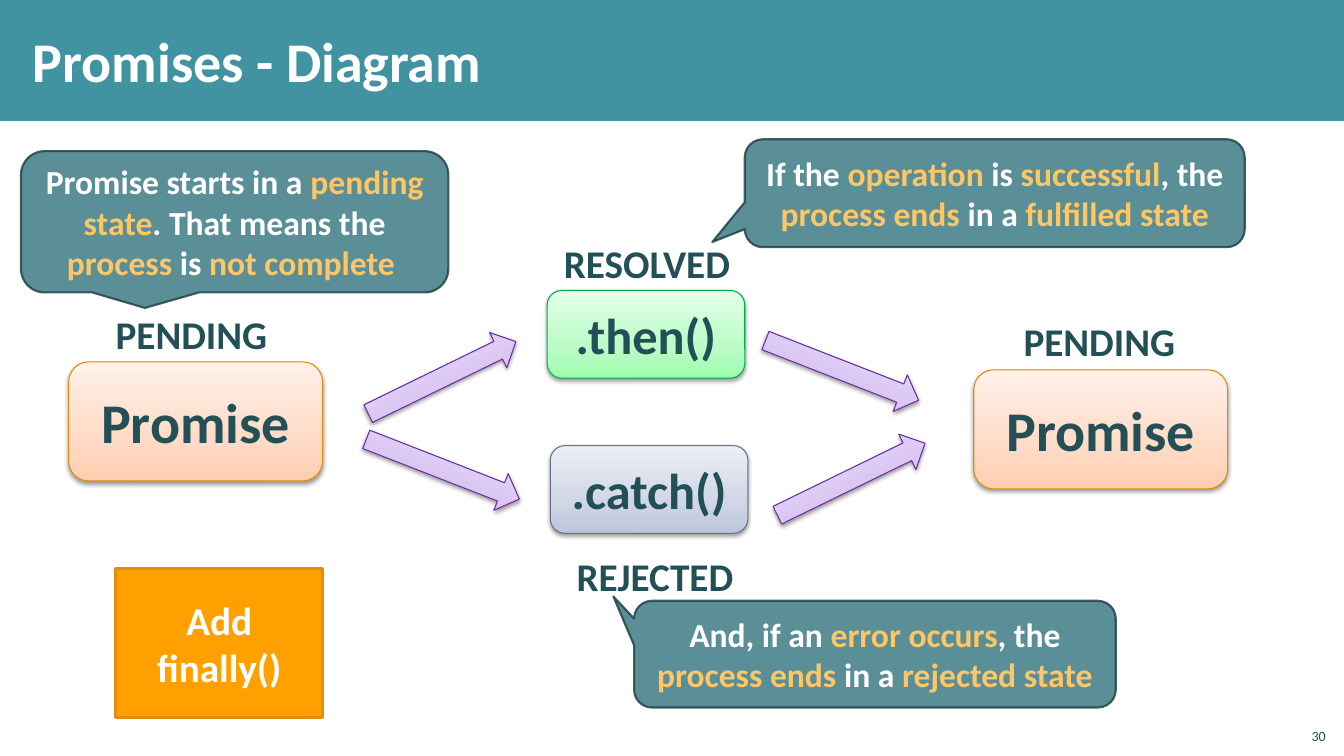
"""Draw the promise states slide."""
from dataclasses import dataclass

from lxml import etree
from pptx import Presentation
from pptx.dml.color import RGBColor
from pptx.enum.shapes import MSO_SHAPE
from pptx.enum.text import MSO_ANCHOR, PP_ALIGN
from pptx.oxml import parse_xml
from pptx.oxml.ns import qn
from pptx.util import Cm, Pt

RECT, ROUND = MSO_SHAPE.RECTANGLE, MSO_SHAPE.ROUNDED_RECTANGLE
ARROW, BUBBLE = MSO_SHAPE.RIGHT_ARROW, MSO_SHAPE.ROUNDED_RECTANGULAR_CALLOUT
LEFT, RIGHT, CENTER = PP_ALIGN.LEFT, PP_ALIGN.RIGHT, PP_ALIGN.CENTER
TOP, MIDDLE, BOTTOM = MSO_ANCHOR.TOP, MSO_ANCHOR.MIDDLE, MSO_ANCHOR.BOTTOM
DRAW_NS = "http://schemas.openxmlformats.org/drawingml/2006/main"


@dataclass(frozen=True)
class Tint:
    """Hold three gradient stops and a line colour."""
    stops: tuple[str, str, str]
    line: str


@dataclass(frozen=True)
class Theme:
    """Hold the colours and type sizes."""
    font: str = "Calibri"
    white: str = "FFFFFF"
    ink: str = "235057"
    bar: str = "4193A1"
    glow: str = "FFC666"
    bubble: str = "32737E"
    edge: str = "1A3C41"
    note: str = "FFA000"
    rim: str = "E28D10"
    orange: Tint = Tint(("FFCDAF", "FFDBC6", "FFF1EA"), "E28B0B")
    green: Tint = Tint(("9DFCAE", "BBFBC6", "E4FFE9"), "00AC4E")
    blue: Tint = Tint(("BCC5DB", "D0D6E5", "EDEFF5"), "64718C")
    purple: Tint = Tint(("C5A6EE", "D6C2F2", "EFE7FB"), "6E2C9F")
    huge: int = 40
    large: int = 36
    label: int = 28
    body: int = 24
    tiny: int = 10


THEME = Theme()


@dataclass(frozen=True)
class Box:
    """Place a rectangle in centimetres."""
    left: float
    top: float
    width: float
    height: float

    def emu(self) -> list:
        """Return the four lengths."""
        return [Cm(n) for n in (self.left, self.top, self.width, self.height)]


@dataclass(frozen=True)
class State:
    """Describe a rounded state box."""
    box: Box
    text: str
    size: int
    tint: Tint


@dataclass(frozen=True)
class Callout:
    """Describe a speech bubble and its tip."""
    box: Box
    text: str
    tip: tuple[float, float]


STATES = [
    State(Box(1.73, 9.12, 6.4, 3), "Promise", THEME.huge, THEME.orange),
    State(Box(24.54, 9.32, 6.4, 3), "Promise", THEME.huge, THEME.orange),
    State(Box(13.79, 7.32, 4.98, 2.21), ".then()", THEME.large, THEME.green),
    State(Box(13.87, 11.23, 4.98, 2.21), ".catch()", THEME.large, THEME.blue),
]
UP, DOWN = 334, 21.3
ARROWS = [(9.07, 9.02, UP), (9.09, 11.33, DOWN),
          (19.38, 11.58, UP), (19.15, 8.84, DOWN)]
LABELS = [("PENDING", Box(2.49, 7.39, 4.67, 1.85)),
          ("REJECTED", Box(13.89, 13.49, 5.23, 1.85)),
          ("RESOLVED", Box(13.69, 5.61, 5.23, 1.85)),
          ("PENDING", Box(25.37, 7.57, 4.67, 1.85))]
CALLOUTS = [
    Callout(Box(0.53, 3.81, 10.77, 3.56), "Promise starts in a *pending state*. "
            "That means the *process* is *not complete *", (-0.21, 0.61)),
    Callout(Box(18.77, 3.51, 12.6, 2.72), "If the *operation* is *successful*, "
            "the *process ends* in a *fulfilled state*", (-0.565, 0.452)),
    Callout(Box(15.98, 15.14, 12.14, 2.69), "And, if an *error occurs*, the "
            "*process ends* in a *rejected state*", (-0.543, -0.541)),
]


def write(shape, text: str, *, size: int, color: str = THEME.ink,
          bold: bool = True, align=CENTER, anchor=MIDDLE,
          inset: tuple[float, float] = (0.25, 0.13), wrap: bool = True,
          space: float = 1.0) -> None:
    """Write text into a shape, with starred parts in the glow colour."""
    frame = shape.text_frame
    frame.word_wrap = wrap
    frame.vertical_anchor = anchor
    frame.margin_left = frame.margin_right = Cm(inset[0])
    frame.margin_top = frame.margin_bottom = Cm(inset[1])
    para = frame.paragraphs[0]
    para.alignment = align
    para.line_spacing = space
    for i, part in enumerate(text.split("*")):
        if part:
            run = para.add_run()
            run.text = part
            run.font.name = THEME.font
            run.font.size = Pt(size)
            run.font.bold = bold
            run.font.color.rgb = RGBColor.from_string(THEME.glow if i % 2 else color)


def outline(shape, color: str, width: float) -> None:
    """Set the line of a shape."""
    shape.line.color.rgb = RGBColor.from_string(color)
    shape.line.width = Pt(width)


def flat(slide, kind, box: Box, fill: str):
    """Add a shape with a plain fill and no line."""
    shape = slide.shapes.add_shape(kind, *box.emu())
    shape.shadow.inherit = False
    shape.fill.solid()
    shape.fill.fore_color.rgb = RGBColor.from_string(fill)
    shape.line.fill.background()
    return shape


def raised(slide, kind, box: Box, tint: Tint):
    """Add a shape with a gradient and a soft shadow."""
    shape = slide.shapes.add_shape(kind, *box.emu())
    stops = "".join(f'<a:gs pos="{pos}"><a:srgbClr val="{color}"/></a:gs>'
                    for pos, color in zip((0, 35000, 100000), tint.stops))
    props = shape.element.spPr
    props.append(parse_xml(
        f'<a:gradFill xmlns:a="{DRAW_NS}" rotWithShape="1"><a:gsLst>{stops}'
        '</a:gsLst><a:lin ang="16200000" scaled="0"/></a:gradFill>'))
    outline(shape, tint.line, 0.75)
    shape.shadow.inherit = False
    props.find(qn("a:effectLst")).append(parse_xml(
        f'<a:outerShdw xmlns:a="{DRAW_NS}" blurRad="40000" dist="20000" '
        'dir="5400000" rotWithShape="0"><a:srgbClr val="000000">'
        '<a:alpha val="38000"/></a:srgbClr></a:outerShdw>'))
    return shape


def bubble(slide, call: Callout) -> None:
    """Add a translucent speech bubble."""
    shape = flat(slide, BUBBLE, call.box, THEME.bubble)
    for i, value in enumerate((*call.tip, 0.167)):
        shape.adjustments[i] = value
    outline(shape, THEME.edge, 1.5)
    for color in shape.element.spPr.iter(qn("a:srgbClr")):
        etree.SubElement(color, qn("a:alpha")).set("val", "80000")
    write(shape, call.text, size=THEME.body, color=THEME.white)


def main() -> None:
    """Build and save the slide."""
    deck = Presentation()
    deck.slide_width, deck.slide_height = Cm(33.87), Cm(19.05)
    slide = deck.slides.add_slide(deck.slide_layouts[6])
    flat(slide, RECT, Box(0, 0, 33.87, 3.05), THEME.bar)
    page = slide.shapes.add_textbox(*Box(32.64, 18.08, 1.02, 0.81).emu())
    write(page, "30", size=THEME.tiny, bold=False, align=RIGHT, anchor=BOTTOM)
    title = slide.shapes.add_textbox(*Box(0.53, 0.28, 27.2, 2.46).emu())
    write(title, "Promises - Diagram", size=THEME.huge, color=THEME.white,
          align=LEFT, inset=(0.3, 0.1))
    for state in STATES:
        shape = raised(slide, ROUND, state.box, state.tint)
        write(shape, state.text, size=state.size)
    for left, top, turn in ARROWS:
        arrow = raised(slide, ARROW, Box(left, top, 4.14, 0.99), THEME.purple)
        arrow.rotation = turn
    for text, box in LABELS:
        label = slide.shapes.add_textbox(*box.emu())
        write(label, text, size=THEME.label, anchor=TOP, inset=(0.41, 0.3),
              wrap=False, space=1.1)
    for call in CALLOUTS:
        bubble(slide, call)
    note = flat(slide, RECT, Box(2.92, 14.33, 5.21, 3.76), THEME.note)
    outline(note, THEME.rim, 2)
    write(note, "Add finally()", size=THEME.label, color=THEME.white)
    deck.save("out.pptx")


if __name__ == "__main__":
    main()
